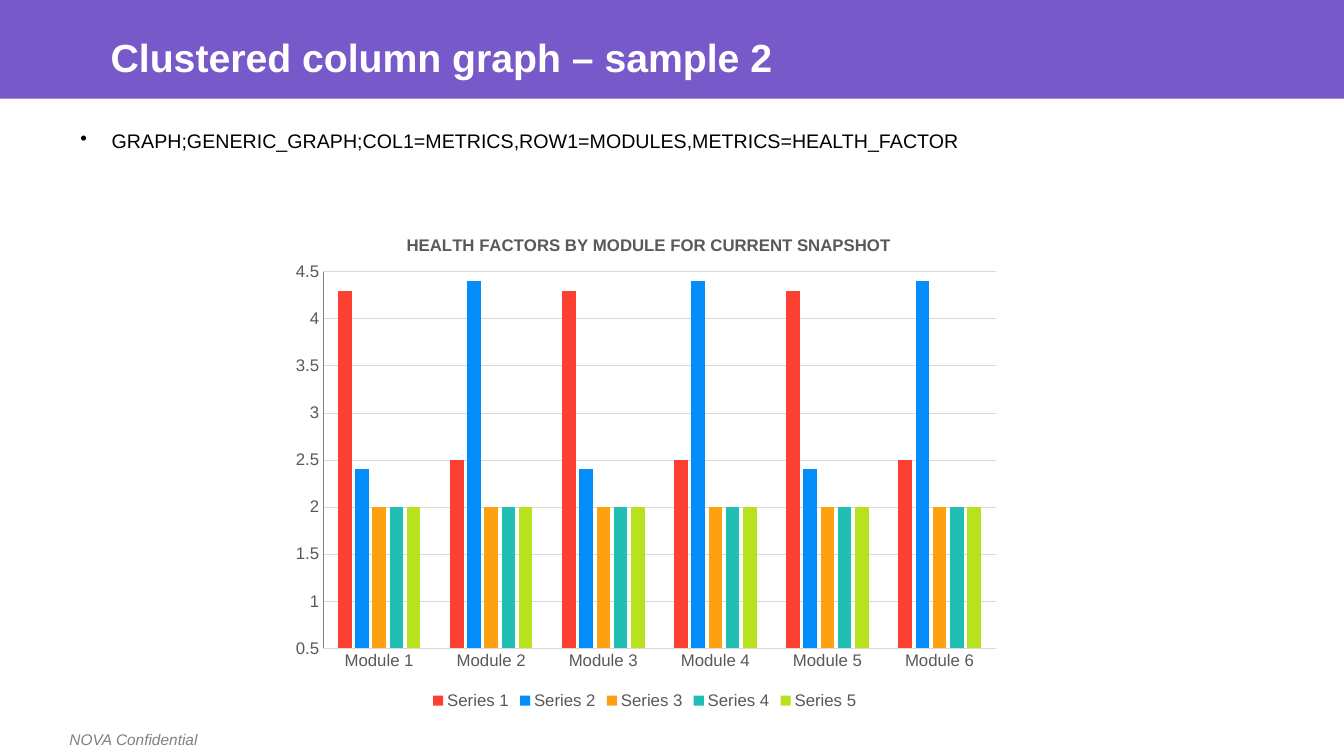
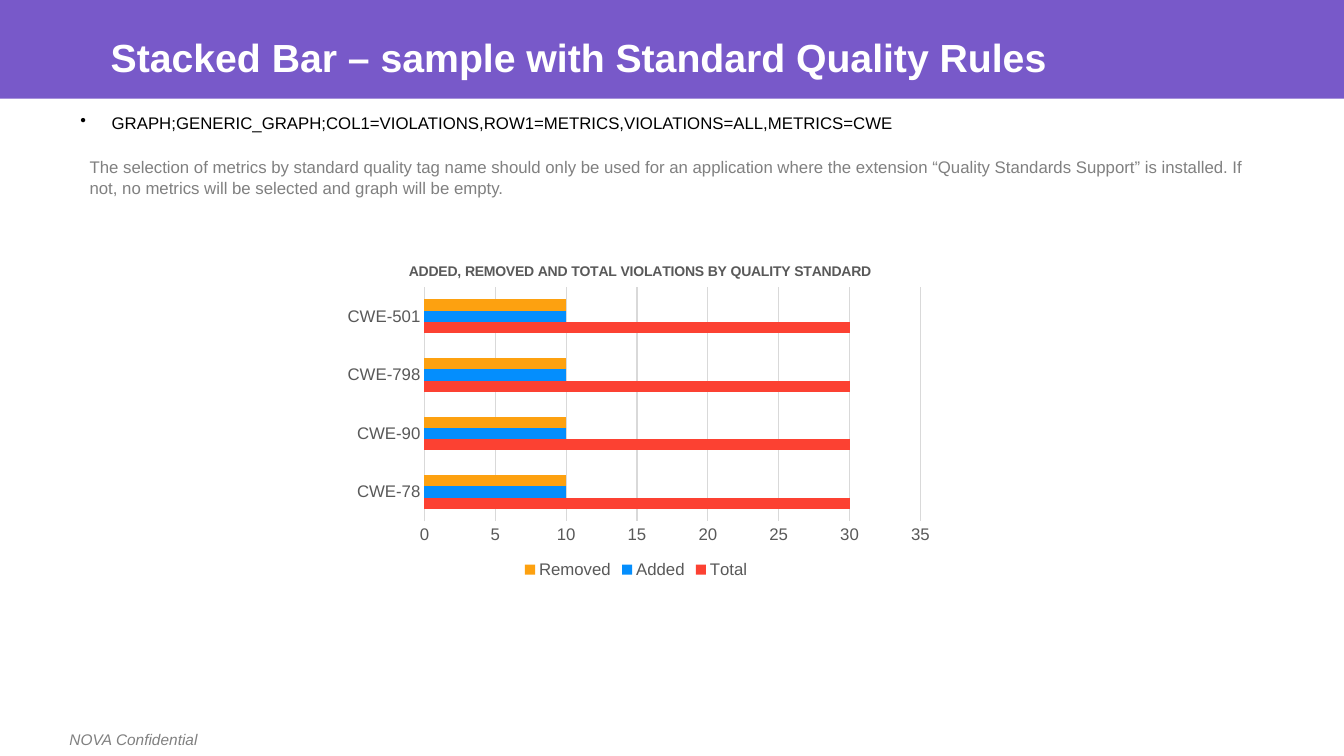
from dataclasses import dataclass
from lxml.etree import SubElement
from pptx import Presentation
from pptx.chart.data import CategoryChartData
from pptx.dml.color import RGBColor
from pptx.enum.chart import XL_CHART_TYPE, XL_LEGEND_POSITION, XL_TICK_MARK
from pptx.enum.shapes import MSO_SHAPE
from pptx.oxml.ns import qn
from pptx.util import Inches, Pt


# Colours and type sizes
@dataclass(frozen=True)
class Theme:
    face: str = "Arial"
    band: str = "7859C9"
    white: str = "FFFFFF"
    black: str = "000000"
    note: str = "808080"
    label: str = "595959"
    grid: str = "D9D9D9"
    red: str = "FC4132"
    blue: str = "048EFD"
    gold: str = "FDA110"
    teal: str = "20BEB3"
    lime: str = "B8E21D"
    head: int = 28
    large: int = 14
    text: int = 12
    small: int = 10
    foot: int = 11


T = Theme()
WIDE, HIGH = 13.33, 7.5


def inch(box):
    return [Inches(side) for side in box]


def apply(item, **values):
    for name, value in values.items():
        setattr(item, name, value)


def style(font, size, color, **extra):
    apply(font, name=T.face, size=Pt(size), **extra)
    font.color.rgb = RGBColor.from_string(color)


def paint(fill, color):
    fill.solid()
    fill.fore_color.rgb = RGBColor.from_string(color)


def stroke(line, color):
    line.width = Pt(0.75)
    paint(line.fill, color)


# Text
def write(slide, box, text, size, color, wrap=True, **extra):
    frame = slide.shapes.add_textbox(*inch(box)).text_frame
    frame.word_wrap = wrap
    para = frame.paragraphs[0]
    run = para.add_run()
    run.text = text
    style(run.font, size, color, **extra)
    return para


def bullet(slide, box, text, size):
    props = write(slide, box, text, size, T.black)._p.get_or_add_pPr()
    hang = Inches(0.31)
    props.set("marL", str(hang))
    props.set("indent", str(-hang))
    SubElement(props, qn("a:buChar")).set("char", "•")


# Band, title and footer shared by the slides
def frame(deck, title):
    slide = deck.slides.add_slide(deck.slide_layouts[6])
    band = slide.shapes.add_shape(MSO_SHAPE.RECTANGLE, *inch((0, 0, WIDE, 0.98)))
    band.shadow.inherit = False
    paint(band.fill, T.band)
    band.line.fill.background()
    write(slide, (0.59, 7.19, 1.47, 0.29), "NOVA Confidential",
          T.foot, T.note, wrap=False, italic=True)
    write(slide, (1, 0.28, 11.5, 0.44), title, T.head, T.white, bold=True)
    return slide


# Chart parts are placed as fractions of the chart box
def place(part, spot, index, inner=False):
    old = part.find(qn("c:layout"))
    if old is not None:
        part.remove(old)
    layout = SubElement(part, qn("c:layout"))
    part.insert(index, layout)
    manual = SubElement(layout, qn("c:manualLayout"))
    rules = {"layoutTarget": "inner"} if inner else {}
    rules |= {"xMode": "edge", "yMode": "edge"}
    rules |= dict(zip("xywh", spot))
    for name, value in rules.items():
        SubElement(manual, qn("c:" + name)).set("val", str(value))


def graph(slide, box, kind, title, size, cats, series, plot, spot, overlap=0):
    data = CategoryChartData()
    data.categories = cats
    for name, values, _ in series:
        data.add_series(name, values)
    chart = slide.shapes.add_chart(kind, *inch(box), data).chart
    style(chart.font, T.small, T.black)

    # Title and legend
    run = chart.chart_title.text_frame.paragraphs[0].add_run()
    run.text = title
    style(run.font, size, T.label, bold=True)
    place(chart.chart_title._element, spot, 1)
    chart.has_legend = True
    apply(chart.legend, position=XL_LEGEND_POSITION.BOTTOM, include_in_layout=False)
    style(chart.legend.font, T.text, T.label)

    # Bars
    place(chart._chartSpace.chart.plotArea, plot, 0, inner=True)
    apply(chart.plots[0], gap_width=219, overlap=overlap, vary_by_categories=False)
    for bars, (_, _, color) in zip(chart.plots[0].series, series):
        paint(bars.format.fill, color)
        bars.invert_if_negative = False

    # Axes
    for axis in (chart.category_axis, chart.value_axis):
        apply(axis, major_tick_mark=XL_TICK_MARK.NONE,
              minor_tick_mark=XL_TICK_MARK.NONE)
        style(axis.tick_labels.font, T.text, T.label)
    stroke(chart.category_axis.format.line, T.grid)
    chart.value_axis.has_major_gridlines = True
    stroke(chart.value_axis.major_gridlines.format.line, T.grid)
    chart.value_axis.format.line.fill.background()
    return chart


# Slide 1: clustered columns
def columns(deck):
    slide = frame(deck, "Clustered column graph – sample 2")
    rows = [([4.3, 2.5] * 3, T.red), ([2.4, 4.4] * 3, T.blue)]
    rows += [([2] * 6, color) for color in (T.gold, T.teal, T.lime)]
    series = [(f"Series {n}", *row) for n, row in enumerate(rows, 1)]
    chart = graph(slide, (2.77, 2.1, 7.25, 4.98), XL_CHART_TYPE.COLUMN_CLUSTERED,
                  "HEALTH FACTORS BY MODULE FOR CURRENT SNAPSHOT", T.text,
                  [f"Module {n}" for n in range(1, 7)], series,
                  plot=(0.06, 0.12, 0.92, 0.75), spot=(0.17, 0.04), overlap=-27)
    apply(chart.value_axis, minimum_scale=0.5, maximum_scale=4.5, major_unit=0.5)
    stroke(chart.value_axis.format.line, T.note)
    bullet(slide, (0.7, 1.23, 11.96, 4.76),
           "GRAPH;GENERIC_GRAPH;COL1=METRICS,ROW1=MODULES,METRICS=HEALTH_FACTOR",
           T.large)


# Slide 2: bars by quality rule
def rules(deck):
    slide = frame(deck, "Stacked Bar – sample with Standard Quality Rules")
    bullet(slide, (0.7, 1.07, 11.96, 0.44),
           "GRAPH;GENERIC_GRAPH;COL1=VIOLATIONS,ROW1=METRICS,"
           "VIOLATIONS=ALL,METRICS=CWE", T.text)
    series = [("Total", [30] * 4, T.red), ("Added", [10] * 4, T.blue),
              ("Removed", [10] * 4, T.gold)]
    graph(slide, (3.31, 2.41, 6, 3.37), XL_CHART_TYPE.BAR_CLUSTERED,
          "ADDED, REMOVED AND TOTAL VIOLATIONS BY QUALITY STANDARD", T.small,
          [f"CWE-{n}" for n in (78, 90, 798, 501)], series,
          plot=(0.15, 0.13, 0.82, 0.69), spot=(0.12, 0.05))
    write(slide, (0.79, 1.51, 11.71, 0.49),
          "The selection of metrics by standard quality tag name should only be "
          "used for an application where the extension “Quality Standards "
          "Support” is installed. If not, no metrics will be selected and graph "
          "will be empty.", T.text, T.note)


deck = Presentation()
apply(deck, slide_width=Inches(WIDE), slide_height=Inches(HIGH))
columns(deck)
rules(deck)
deck.save("out.pptx")
